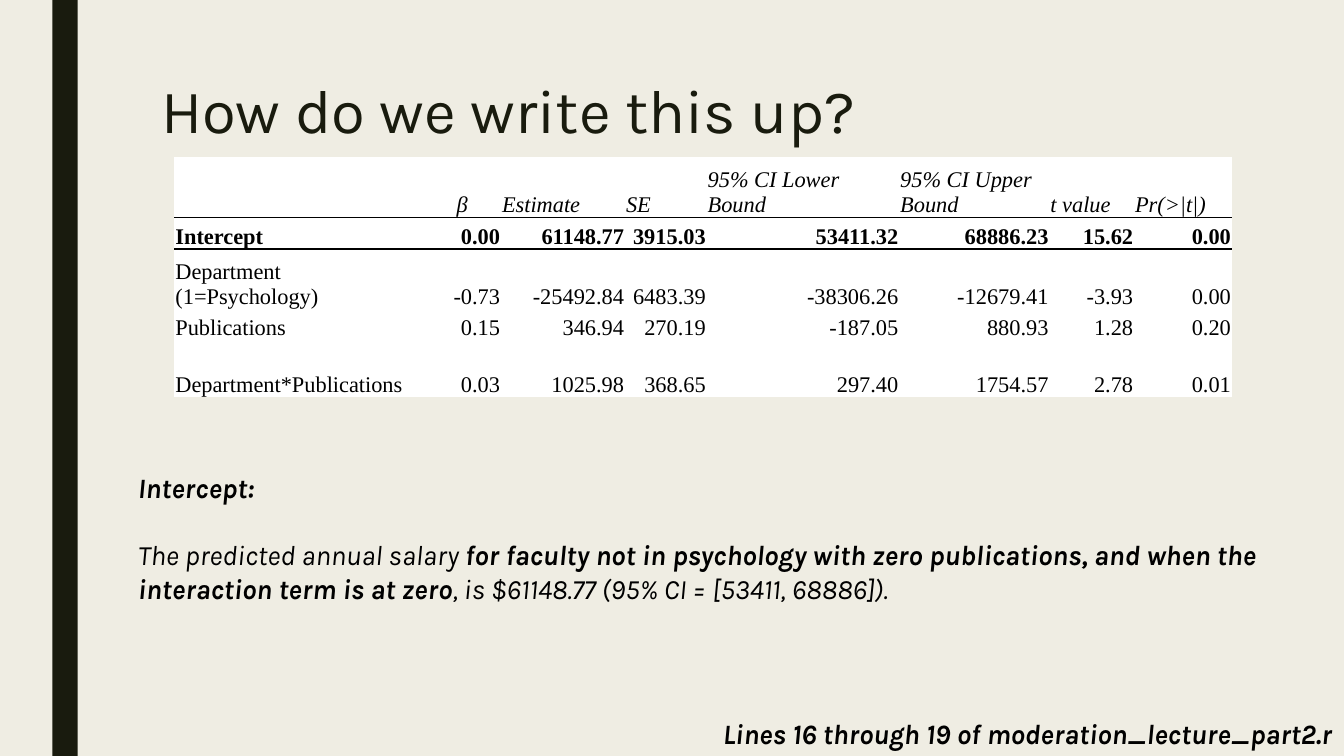
"""Build a slide that reports a moderation regression and its intercept."""
import lxml.etree
import pptx
import pptx.dml.color
import pptx.enum.shapes
import pptx.enum.text
import pptx.oxml.ns
import pptx.util

Inches = pptx.util.Inches
Pt = pptx.util.Pt
RGBColor = pptx.dml.color.RGBColor
ALIGN = pptx.enum.text.PP_ALIGN
qn = pptx.oxml.ns.qn

CREAM = RGBColor(0xEF, 0xED, 0xE3)
DARK = RGBColor(0x19, 0x1B, 0x0E)
BLACK = RGBColor(0, 0, 0)
WHITE = RGBColor(255, 255, 255)

HEADING_FONT = "Karla"
TABLE_FONT = "Times New Roman"
NO_STYLE = "{2D5ABB26-0587-4C30-8999-92F81FD0307C}"

COLUMN_WIDTHS = [2.47, 0.77, 1.23, 0.81, 1.91, 1.49, 0.84, 0.97]
ROW_HEIGHTS = [0.6, 0.31, 0.6, 0.31, 0.56]
COEFFICIENTS = [
    ["", "β", "Estimate", "SE", "95% CI Lower Bound", "95% CI Upper Bound", "t value", "Pr(>|t|)"],
    ["Intercept", "0.00", "61148.77", "3915.03", "53411.32", "68886.23", "15.62", "0.00"],
    ["Department\n(1=Psychology)", "-0.73", "-25492.84", "6483.39", "-38306.26", "-12679.41", "-3.93", "0.00"],
    ["Publications", "0.15", "346.94", "270.19", "-187.05", "880.93", "1.28", "0.20"],
    ["Department*Publications", "0.03", "1025.98", "368.65", "297.40", "1754.57", "2.78", "0.01"],
]
INTERPRETATION = [
    [("Intercept:", True)],
    [
        ("The predicted annual salary ", False),
        ("for faculty not in psychology with zero publications, and when the interaction term is at zero", True),
        (", is $61148.77 (95% CI = [53411, 68886]).", False),
    ],
]
SOURCE_LINES = [[("Lines 16 through 19 of moderation_lecture_part2.r", True)]]


def add_run(paragraph, text, font_name, size, color, bold=False, italic=False):
    """Append one formatted run to a paragraph."""
    run = paragraph.add_run()
    run.text = text
    run.font.name = font_name
    run.font.size = Pt(size)
    run.font.color.rgb = color
    run.font.bold = bold
    run.font.italic = italic


def add_side_bar(slide, left, top, width, height):
    """Draw the dark vertical bar at the left of the slide."""
    bar = slide.shapes.add_shape(
        pptx.enum.shapes.MSO_SHAPE.RECTANGLE, Inches(left), Inches(top), Inches(width), Inches(height))
    bar.shadow.inherit = False
    bar.fill.solid()
    bar.fill.fore_color.rgb = DARK
    bar.line.fill.background()


def add_text_frame(slide, left, top, width, height):
    """Add a wrapping text box and return its text frame."""
    frame = slide.shapes.add_textbox(Inches(left), Inches(top), Inches(width), Inches(height)).text_frame
    frame.word_wrap = True
    return frame


def add_title(slide, left, top, width, height):
    """Write the slide title."""
    heading = add_text_frame(slide, left, top, width, height).paragraphs[0]
    heading.line_spacing = 0.89
    add_run(heading, "How do we write this up?", HEADING_FONT, 44, DARK)


def add_italic_text(slide, left, top, width, height, passages):
    """Write italic passages, each a list of (text, bold) pairs."""
    frame = add_text_frame(slide, left, top, width, height)
    for index, passage in enumerate(passages):
        paragraph = frame.paragraphs[0]
        if index:
            paragraph = frame.add_paragraph()
            paragraph.space_before = Pt(24)
        for text, bold in passage:
            add_run(paragraph, text, HEADING_FONT, 20, BLACK, bold, True)


def add_rule(cell, edge):
    """Draw a thin black border along one edge of a cell."""
    line = lxml.etree.Element(qn(f"a:{edge}"), w=str(Pt(1)))
    fill = lxml.etree.SubElement(line, qn("a:solidFill"))
    lxml.etree.SubElement(fill, qn("a:srgbClr"), val=str(BLACK))
    cell._tc.get_or_add_tcPr().insert(0, line)


def fill_cell(cell, text, row, column):
    """Format one coefficient cell by its row and column."""
    cell.margin_left = cell.margin_right = cell.margin_top = Inches(0.01)
    cell.margin_bottom = 0
    cell.vertical_anchor = pptx.enum.text.MSO_ANCHOR.BOTTOM
    cell.fill.solid()
    cell.fill.fore_color.rgb = WHITE
    if row < 2:
        add_rule(cell, "lnT" if row else "lnB")
    for index, label in enumerate(text.split("\n") if text else []):
        paragraph = cell.text_frame.add_paragraph() if index else cell.text_frame.paragraphs[0]
        if row and column:
            paragraph.alignment = ALIGN.RIGHT
        elif text == "β":
            paragraph.alignment = ALIGN.CENTER
        add_run(paragraph, label, TABLE_FONT, 16, BLACK, row == 1, row == 0)


def add_coefficient_table(slide, left, top, width, height):
    """Add the table of regression coefficients."""
    table = slide.shapes.add_table(
        len(ROW_HEIGHTS), len(COLUMN_WIDTHS), Inches(left), Inches(top), Inches(width), Inches(height)).table
    table.first_row = table.horz_banding = False
    table._tbl.tblPr.find(qn("a:tableStyleId")).text = NO_STYLE
    for column, column_width in zip(table.columns, COLUMN_WIDTHS):
        column.width = Inches(column_width)
    for row, row_height in zip(table.rows, ROW_HEIGHTS):
        row.height = Inches(row_height)
    for row, values in enumerate(COEFFICIENTS):
        for column, text in enumerate(values):
            fill_cell(table.cell(row, column), text, row, column)


def main():
    """Assemble and save the slide."""
    deck = pptx.Presentation()
    deck.slide_width = Inches(13.33)
    deck.slide_height = Inches(7.5)
    slide = deck.slides.add_slide(deck.slide_layouts[6])
    slide.background.fill.solid()
    slide.background.fill.fore_color.rgb = CREAM
    add_side_bar(slide, 0.52, 0, 0.25, 7.5)
    add_title(slide, 1.5, 0.75, 10.5, 1.62)
    add_coefficient_table(slide, 1.73, 1.56, 10.5, 2.37)
    add_italic_text(slide, 1.27, 4.62, 11.58, 1.45, INTERPRETATION)
    add_italic_text(slide, 7.07, 7.06, 11.58, 0.44, SOURCE_LINES)
    deck.save("out.pptx")


if __name__ == "__main__":
    main()
